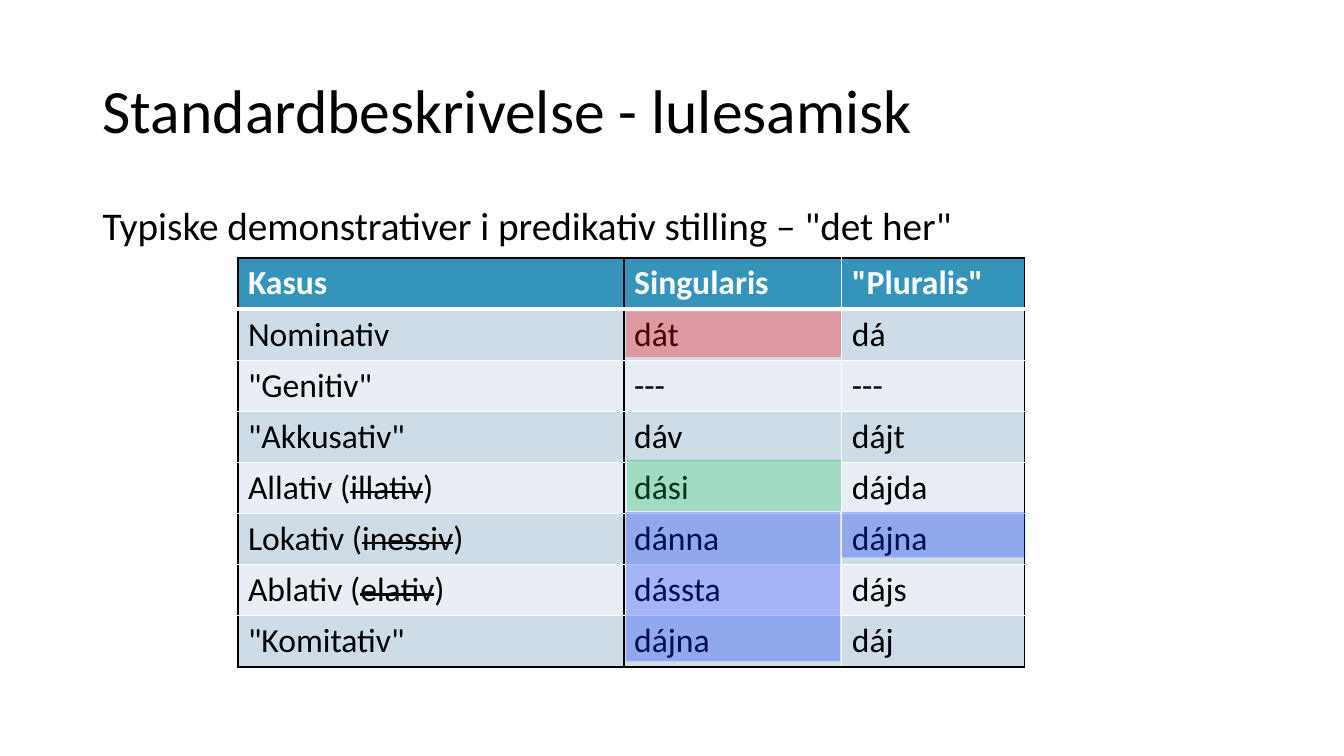
"""Build a slide with a table of Lule Sami demonstratives and highlighted cells."""
from lxml.etree import SubElement
from pptx import Presentation
from pptx.dml.color import RGBColor
from pptx.enum.shapes import MSO_SHAPE
from pptx.enum.text import MSO_ANCHOR
from pptx.oxml.ns import qn
from pptx.util import Inches, Pt

THEME = {
    "font": "Calibri", "title": 44, "body": 28, "cell": 24,
    "text": "000000", "light": "FFFFFF", "header": "3494BA",
    "bands": ("E8EEF3", "CEDCE7"),
    "red": "FF0000", "green": "00B050", "blue": "0432FF", "alpha": 30,
}
W, H = 13.33, 7.5
LEFT, TOP, ROW = 2.36, 2.56, 0.5
COLS = (3.83, 2.16, 1.81)
ROWS = (
    ("Kasus", "Singularis", '"Pluralis"'),
    ("Nominativ", "dát", "dá"),
    ('"Genitiv"', "---", "---"),
    ('"Akkusativ"', "dáv", "dájt"),
    ("Allativ (|illativ|)", "dási", "dájda"),
    ("Lokativ (|inessiv|)", "dánna", "dájna"),
    ("Ablativ (|elativ|)", "dássta", "dájs"),
    ('"Komitativ"', "dájna", "dáj"),
)
LAST = len(ROWS) - 1


def write(p, text, size, color, bold=False):
    """Add text to a paragraph, striking out the parts between bars."""
    for i, part in enumerate(text.split("|")):
        r = p.add_run()
        r.text = part
        fmt = {"name": THEME["font"], "size": Pt(size), "bold": bold}
        for key, value in fmt.items():
            setattr(r.font, key, value)
        r.font.color.rgb = RGBColor.from_string(color)
        if i % 2:
            r.font._element.set("strike", "sngStrike")


def fill_xml(parent, color):
    """Add a solid fill to an XML element and return its colour element."""
    fill = SubElement(parent, qn("a:solidFill"))
    return SubElement(fill, qn("a:srgbClr"), val=color)


prs = Presentation()
prs.slide_width, prs.slide_height = Inches(W), Inches(H)
s = prs.slides.add_slide(prs.slide_layouts[6])

frame = s.shapes.add_table(len(ROWS), len(COLS), Inches(LEFT), Inches(TOP),
                           Inches(sum(COLS)), Inches(ROW * len(ROWS)))
table = frame.table
for col, width in zip(table.columns, COLS):
    col.width = Inches(width)

for i, row in enumerate(ROWS):
    for j, text in enumerate(row):
        cell = table.cell(i, j)
        color = THEME["text"] if i else THEME["light"]
        write(cell.text_frame.paragraphs[0], text, THEME["cell"], color, i == 0)
        borders = {
            "a:lnL": (j < 2, 1),
            "a:lnR": (j != 1, 1),
            "a:lnT": (i == 0, 3 if i == 1 else 1),
            "a:lnB": (i == LAST, 3 if i == 0 else 1),
        }
        tcPr = cell._tc.get_or_add_tcPr()
        for tag, (dark, width) in borders.items():
            ln = SubElement(tcPr, qn(tag), w=str(Pt(width)))
            fill_xml(ln, THEME["text"] if dark else THEME["light"])
        cell.fill.solid()
        band = THEME["bands"][i % 2] if i else THEME["header"]
        cell.fill.fore_color.rgb = RGBColor.from_string(band)

headings = (
    ("Standardbeskrivelse - lulesamisk", "title", 0.4, 1.45, MSO_ANCHOR.MIDDLE),
    ('Typiske demonstrativer i predikativ stilling – "det her"', "body", 2, 4.76,
     MSO_ANCHOR.TOP),
)
for text, level, top, height, anchor in headings:
    sp = s.shapes.add_textbox(Inches(0.92), Inches(top), Inches(11.5), Inches(height))
    tf = sp.text_frame
    tf.word_wrap = True
    tf.vertical_anchor = anchor
    p = tf.paragraphs[0]
    p.line_spacing = 0.9
    write(p, text, THEME[level], THEME["text"])

marks = (
    (1, 1, 0.02, 0.03, 2.13, 0.45, "red"),
    (4, 1, 0.03, 0, 2.12, 0.51, "green"),
    (5, 1, 0.02, 0.02, 2.12, 1.48, "blue"),
    (5, 2, 0, 0.02, 1.82, 0.45, "blue"),
)
for i, j, dx, dy, width, height, color in marks:
    sp = s.shapes.add_shape(
        MSO_SHAPE.RECTANGLE, Inches(LEFT + sum(COLS[:j]) + dx),
        Inches(TOP + i * ROW + dy), Inches(width), Inches(height))
    sp.shadow.inherit = False
    sp.line.fill.background()
    sp.fill.solid()
    sp.fill.fore_color.rgb = RGBColor.from_string(THEME[color])
    clr = sp._element.spPr.find(".//" + qn("a:srgbClr"))
    SubElement(clr, qn("a:alpha"), val=str(THEME["alpha"] * 1000))

prs.save("out.pptx")
